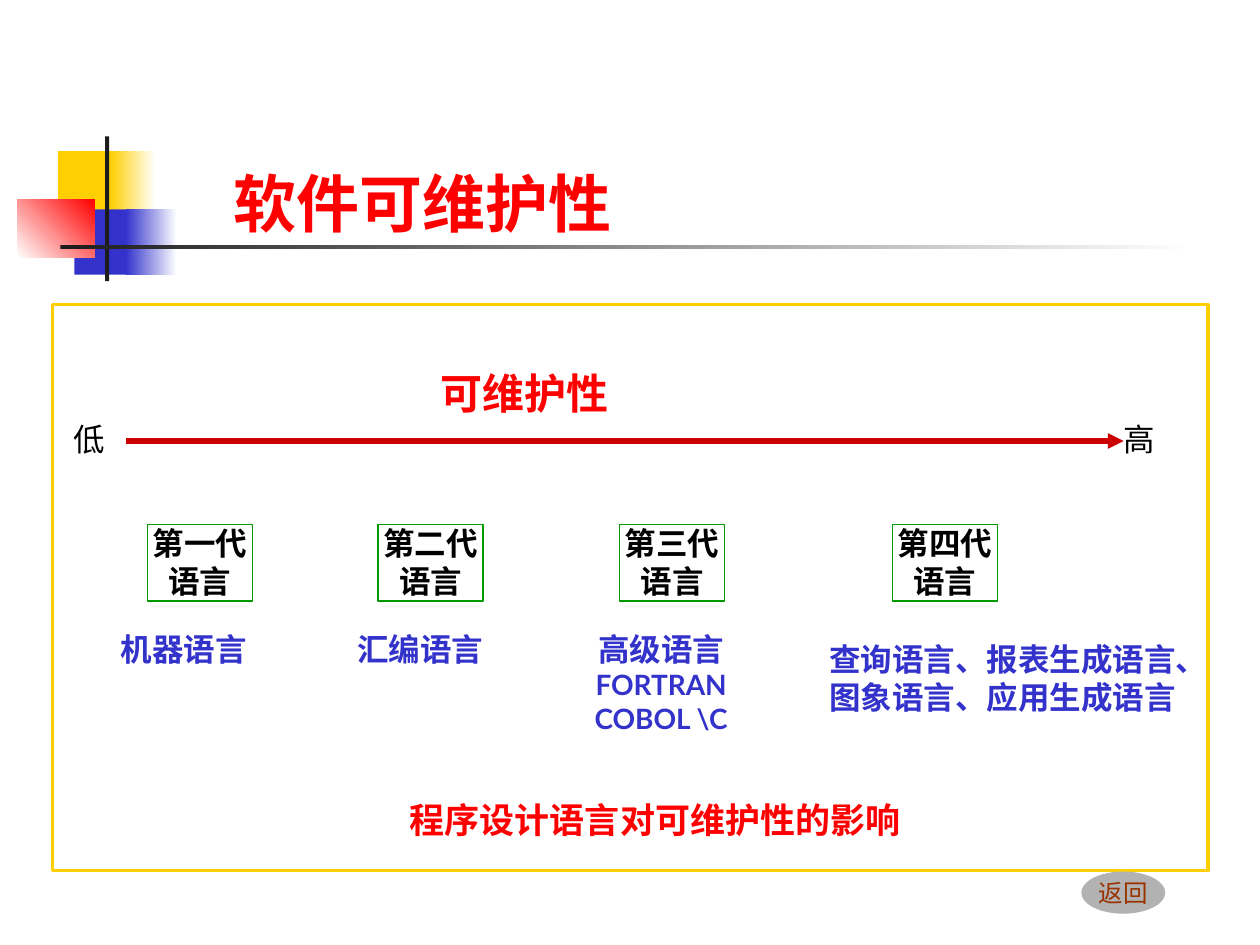
from lxml.etree import SubElement
from pptx import Presentation
from pptx.dml.color import RGBColor
from pptx.enum.shapes import MSO_CONNECTOR, MSO_SHAPE
from pptx.enum.text import MSO_ANCHOR, MSO_AUTO_SIZE, PP_ALIGN
from pptx.oxml.ns import qn
from pptx.util import Cm, Pt

RED, BLUE, YELLOW = "FF0000", "3333CC", "FFCF01"
BLACK, WHITE, DARK = "000000", "FFFFFF", "1C1C1C"


def colour(value):
    return RGBColor.from_string(value)


class Painter:
    font_name = "Lato"

    def __init__(self, page):
        self.page = page

    def shape(self, area, fill=None, line=None, weight=0.75, kind=MSO_SHAPE.RECTANGLE):
        shape = self.page.shapes.add_shape(kind, *map(Cm, area))
        shape.shadow.inherit = False
        if fill:
            shape.fill.solid()
            shape.fill.fore_color.rgb = colour(fill)
        else:
            shape.fill.background()
        if line:
            shape.line.color.rgb = colour(line)
            shape.line.width = Pt(weight)
        else:
            shape.line.fill.background()
        return shape

    def gradient(self, area, start, end, angle=0):
        shape = self.shape(area)
        shape.fill.gradient()
        shape.fill.gradient_angle = angle
        for position, (stop, value) in enumerate(
                zip(shape.fill.gradient_stops, (start, end))):
            stop.color.rgb = colour(value)
            stop.position = position

    def label(self, shape, lines, size=18, ink=BLACK, bold=True,
              align=PP_ALIGN.CENTER, inset=(0, 0), anchor=MSO_ANCHOR.TOP, wrap=True):
        frame = shape.text_frame
        frame.word_wrap = wrap
        frame.vertical_anchor = anchor
        frame.margin_left = frame.margin_right = Cm(inset[0])
        frame.margin_top = frame.margin_bottom = Cm(inset[1])
        frame.text = lines
        for para in frame.paragraphs:
            para.alignment = align
            font = para.font
            font.size = Pt(size)
            font.bold = bold
            font.color.rgb = colour(ink)
            font.name = self.font_name
            properties = para._p.pPr.find(qn("a:defRPr"))
            SubElement(properties, qn("a:ea")).set("typeface", self.font_name)
        return frame

    def text(self, area, lines, grow=False, **style):
        box = self.page.shapes.add_textbox(*map(Cm, area))
        frame = self.label(box, lines, **style)
        if grow:
            frame.auto_size = MSO_AUTO_SIZE.SHAPE_TO_FIT_TEXT
        return frame

    def arrow(self, start, end, ink, weight):
        arrow = self.page.shapes.add_connector(
            MSO_CONNECTOR.STRAIGHT, *map(Cm, start + end))
        arrow.line.color.rgb = colour(ink)
        arrow.line.width = Pt(weight)
        outline = arrow._element.spPr.find(qn("a:ln"))
        SubElement(outline, qn("a:tailEnd")).set("type", "triangle")
        SubElement(arrow._element.spPr, qn("a:effectLst"))


def main():
    deck = Presentation()
    deck.slide_width, deck.slide_height = Cm(25.4), Cm(19.05)
    page = deck.slides.add_slide(deck.slide_layouts[6])
    painter = Painter(page)
    left = PP_ALIGN.LEFT

    painter.shape((1.17, 3.05, 1.17, 1.32), YELLOW)
    painter.gradient((2.22, 3.05, 0.91, 1.32), YELLOW, WHITE)
    painter.shape((1.5, 4.22, 1.17, 1.32), BLUE)
    painter.gradient((2.54, 4.22, 1.02, 1.32), BLUE, WHITE)
    painter.gradient((0.35, 4.02, 1.56, 1.17), WHITE, RED, 45)
    painter.shape((2.12, 2.75, 0.08, 2.92), DARK)
    painter.gradient((1.22, 4.94, 22.86, 0.08), DARK, WHITE)
    painter.text((4.45, 3.18, 12.7, 1.78), "软件可维护性", True,
                 size=36, ink=RED, align=left, inset=(0.25, 0.13))

    painter.shape((1.06, 6.14, 23.29, 11.41), line=YELLOW, weight=2.25)
    painter.arrow((2.54, 8.89), (22.65, 8.89), "CC0000", 3)
    for x, level in ((22.65, "高"), (1.48, "低")):
        painter.text((x, 8.46, 0.85, 0.76), level, True, bold=False, align=left)

    for x, ordinal in zip((2.97, 7.62, 12.49, 17.99), "一二三四"):
        box = painter.shape((x, 10.57, 2.12, 1.55), line="009900")
        painter.label(box, f"第{ordinal}代语言")

    painter.text((2.12, 12.7, 3.18, 1.48), "机器语言", ink=BLUE)
    painter.text((6.99, 12.7, 2.96, 1.06), "汇编语言", ink=BLUE)
    examples = painter.text((11.85, 12.7, 2.96, 1.69),
                            "高级语言\nFORTRAN\vCOBOL \\C", ink=BLUE)
    examples.paragraphs[1].font.size = Pt(16)
    painter.text((16.72, 12.91, 7.62, 1.22),
                 "查询语言、报表生成语言、图象语言、应用生成语言", ink=BLUE, align=left)

    painter.text((8.89, 7.41, 5.93, 1.02), "可维护性", True,
                 size=24, ink=RED, align=left)
    painter.text((8.26, 16.09, 11.64, 0.85), "程序设计语言对可维护性的影响", True,
                 size=20, ink=RED, align=left)

    button = painter.shape((21.8, 17.57, 1.69, 0.85), "B2B2B2", kind=MSO_SHAPE.OVAL)
    painter.label(button, "返回", size=14, ink="993300", bold=False,
                  inset=(0.25, 0.13), anchor=MSO_ANCHOR.MIDDLE, wrap=False)

    deck.save("out.pptx")


if __name__ == "__main__":
    main()
